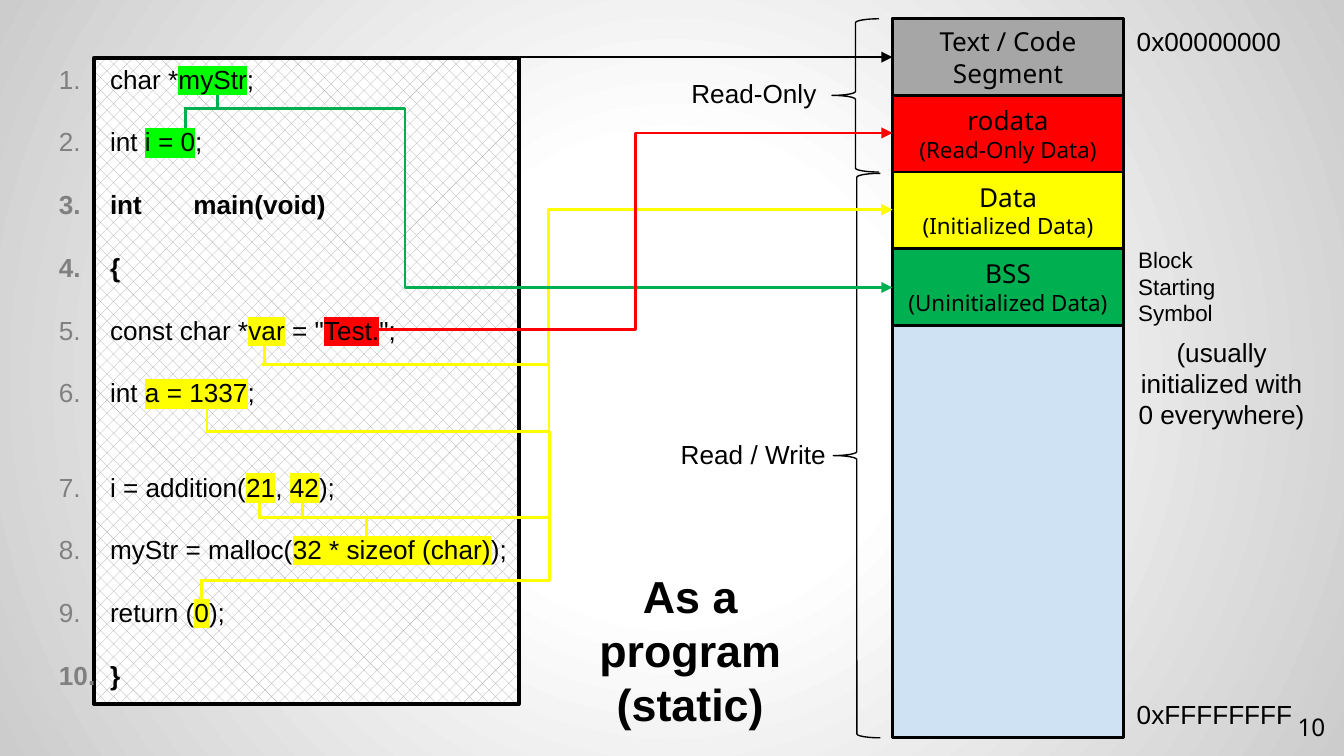
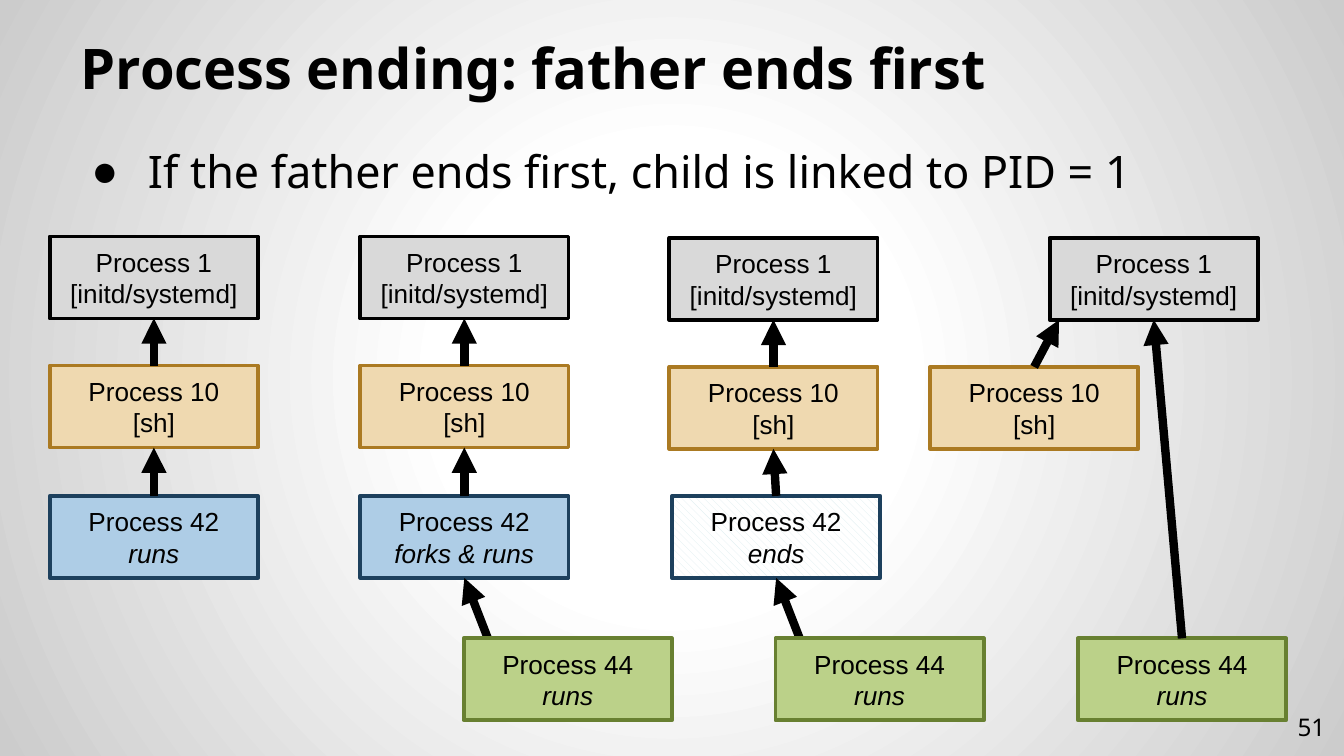
from lxml.etree import SubElement
from pptx import Presentation
from pptx.dml.color import RGBColor
from pptx.enum.dml import MSO_PATTERN
from pptx.enum.shapes import MSO_CONNECTOR, MSO_SHAPE
from pptx.enum.text import MSO_ANCHOR, MSO_AUTO_SIZE, PP_ALIGN
from pptx.oxml import parse_xml
from pptx.oxml.ns import nsdecls, qn
from pptx.util import Inches, Pt

BLACK = RGBColor(0x00, 0x00, 0x00)
WHITE = RGBColor(0xFF, 0xFF, 0xFF)
EDGE_GRAY = RGBColor(0xCC, 0xCC, 0xCC)
NUMBER_GRAY = RGBColor(0x80, 0x80, 0x80)
GRAY = RGBColor(0xA6, 0xA6, 0xA6)
LIGHT_GRAY = RGBColor(0xD9, 0xD9, 0xD9)
RED = RGBColor(0xFF, 0x00, 0x00)
YELLOW = RGBColor(0xFF, 0xFF, 0x00)
GREEN = RGBColor(0x00, 0xB0, 0x50)
LIME = RGBColor(0x00, 0xFF, 0x00)
PALE_BLUE = RGBColor(0xCF, 0xE2, 0xF3)
BLUE = RGBColor(0xAE, 0xCD, 0xE6)
NAVY = RGBColor(0x1D, 0x40, 0x5D)
HATCH = RGBColor(0xDD, 0xED, 0xF0)
OLIVE = RGBColor(0xBB, 0xD1, 0x89)
DARK_OLIVE = RGBColor(0x68, 0x80, 0x31)
SAND = RGBColor(0xEF, 0xD9, 0xB0)
BROWN = RGBColor(0xAB, 0x7A, 0x22)

SANS = "Arial"
NOTO = "Noto Sans"
LINE_GAP = 16.8
SEGMENT_X, SEGMENT_Y, SEGMENT_W, SEGMENT_H = 6.64, 0.14, 1.72, 0.57
PROCESS_W, PROCESS_H = 1.55, 0.61
ROW_1, ROW_10, ROW_42, ROW_44 = 1.76, 2.72, 3.69, 4.75

PROCESSES = {
    1: ("Process 1\v[initd/systemd]", LIGHT_GRAY, BLACK),
    10: ("Process 10\v[sh]", SAND, BROWN),
    42: ("Process 42", BLUE, NAVY),
    44: ("Process 44", OLIVE, DARK_OLIVE),
}

CODE = [
    [("char *", None), ("myStr", LIME), (";", None)],
    [("int ", None), ("i = 0", LIME), (";", None)],
    [("int\tmain(void)", None)],
    [("{", None)],
    [("const char *", None), ("var", YELLOW), (' = "', None), ("Test.", RED), ('";', None)],
    [("int ", None), ("a = 1337", YELLOW), (";", None)],
    [("i = addition(", None), ("21", YELLOW), (", ", None), ("42", YELLOW), (");", None)],
    [("myStr = malloc(", None), ("32 * sizeof (char)", YELLOW), (");", None)],
    [("return (", None), ("0", YELLOW), (");", None)],
    [("}", None)],
]
BOLD_ROWS = (2, 3, 9)
CALL_ROW = 6


def set_background(master):
    master.background.fill.solid()
    stops = "".join(
        f'<a:gs pos="{pos}"><a:srgbClr val="{color}"/></a:gs>'
        for pos, color in ((0, WHITE), (30000, WHITE), (100000, EDGE_GRAY))
    )
    grad = parse_xml(
        f'<a:gradFill {nsdecls("a")} rotWithShape="1"><a:gsLst>{stops}</a:gsLst>'
        '<a:path path="circle"><a:fillToRect l="50000" t="50000" r="50000" b="50000"/>'
        "</a:path></a:gradFill>"
    )
    bg_pr = master.element.find(".//" + qn("p:bgPr"))
    bg_pr.replace(bg_pr.find(qn("a:solidFill")), grad)


def style_run(r, size, font=SANS, bold=False, italic=False):
    r.font.size = Pt(size)
    r.font.name = font
    r.font.bold = bold
    r.font.italic = italic
    r.font.color.rgb = BLACK


def fill_frame(tf, text, size, font=SANS, align=PP_ALIGN.LEFT, anchor=MSO_ANCHOR.TOP,
               bold=False, inset=None):
    tf.word_wrap = True
    tf.auto_size = MSO_AUTO_SIZE.NONE
    tf.vertical_anchor = anchor
    if inset is not None:
        tf.margin_left = tf.margin_right = tf.margin_top = tf.margin_bottom = Inches(inset)
    tf.text = text
    for p in tf.paragraphs:
        p.alignment = align
        for r in p.runs:
            style_run(r, size, font, bold)


def add_text(s, x, y, w, h, text, size, **options):
    sp = s.shapes.add_textbox(Inches(x), Inches(y), Inches(w), Inches(h))
    fill_frame(sp.text_frame, text, size, **options)
    return sp


def add_page_number(s, number):
    add_text(s, 9.36, 5.19, 0.6, 0.43, number, 13, font=NOTO, align=PP_ALIGN.RIGHT,
             anchor=MSO_ANCHOR.MIDDLE, inset=0.1)


def add_box(s, x, y, w, h, fill, line, width, shape=MSO_SHAPE.RECTANGLE):
    sp = s.shapes.add_shape(shape, Inches(x), Inches(y), Inches(w), Inches(h))
    sp.shadow.inherit = False
    if fill is None:
        sp.fill.background()
    else:
        sp.fill.solid()
        sp.fill.fore_color.rgb = fill
    sp.line.color.rgb = line
    sp.line.width = Pt(width)
    return sp


def set_pattern(sp, pattern, color):
    sp.fill.patterned()
    sp.fill.pattern = pattern
    sp.fill.fore_color.rgb = color
    sp.fill.back_color.rgb = WHITE


def add_line(s, start, end, color, width, arrow=None, bend=None):
    kind = MSO_CONNECTOR.STRAIGHT if bend is None else MSO_CONNECTOR.ELBOW
    c = s.shapes.add_connector(kind, *(Inches(v) for v in (*start, *end)))
    c.line.color.rgb = color
    c.line.width = Pt(width)
    sp_pr = c.element.spPr
    if arrow:
        SubElement(sp_pr.find(qn("a:ln")), qn("a:" + arrow), type="triangle")
    SubElement(sp_pr, qn("a:effectLst"))
    if bend is not None:
        geom = sp_pr.find(qn("a:prstGeom"))
        av = geom.find(qn("a:avLst"))
        if av is None:
            av = SubElement(geom, qn("a:avLst"))
        SubElement(av, qn("a:gd"), name="adj1", fmla=f"val {round(bend * 100000)}")
    return c


def add_bullet(p, left, hanging, color, tag, **attributes):
    p_pr = p._p.get_or_add_pPr()
    p_pr.set("marL", str(Inches(left)))
    p_pr.set("indent", str(-Inches(hanging)))
    SubElement(SubElement(p_pr, qn("a:buClr")), qn("a:srgbClr"), val=str(color))
    SubElement(p_pr, qn("a:" + tag), **attributes)


def highlight(r, color):
    mark = parse_xml(f'<a:highlight {nsdecls("a")}><a:srgbClr val="{color}"/></a:highlight>')
    r.font._element.find(qn("a:solidFill")).addnext(mark)


def add_code(s):
    box = add_box(s, 0.7, 0.43, 3.16, 4.81, WHITE, BLACK, 2)
    set_pattern(box, MSO_PATTERN.PERCENT_30, GRAY)
    tf = add_text(s, 0.34, 0.42, 4.38, 4.81, "", 14).text_frame
    for row, parts in enumerate(CODE):
        p = tf.add_paragraph() if row else tf.paragraphs[0]
        if row:
            p.space_before = Pt(LINE_GAP * (2 if row == CALL_ROW else 1))
        add_bullet(p, 0.38, 0.38, NUMBER_GRAY, "buAutoNum", type="arabicPeriod")
        for text, color in parts:
            r = p.add_run()
            r.text = text
            style_run(r, 14, bold=row in BOLD_ROWS)
            if color is not None:
                highlight(r, color)


def add_memory(s):
    add_box(s, SEGMENT_X, SEGMENT_Y, SEGMENT_W, 5.35, PALE_BLUE, BLACK, 1.5)
    segments = []
    for i, (text, color) in enumerate([
        ("Text / Code Segment", GRAY),
        ("rodata\v(Read-Only Data)", RED),
        ("Data\v(Initialized Data)", YELLOW),
        ("BSS\v(Uninitialized Data)", GREEN),
    ]):
        sp = add_box(s, SEGMENT_X, SEGMENT_Y + i * SEGMENT_H, SEGMENT_W, SEGMENT_H,
                     color, BLACK, 1.5)
        fill_frame(sp.text_frame, text, 14, font=NOTO, align=PP_ALIGN.CENTER,
                   anchor=MSO_ANCHOR.MIDDLE, inset=0.1)
        for r in sp.text_frame.paragraphs[0].runs[1:]:
            r.font.size = Pt(12)
        segments.append(sp)
    add_box(s, SEGMENT_X, SEGMENT_Y, SEGMENT_W, 5.35, None, BLACK, 1.5)
    return segments


def add_links(s, text_segment):
    for start, end, color, bend in [
        ((1.95, 2.71), (SEGMENT_X, 1.56), YELLOW, 0.455),
        ((1.53, 3.21), (SEGMENT_X, 1.56), YELLOW, 0.5),
        ((1.37, 0.81), (SEGMENT_X, 2.14), GREEN, 0.312),
        ((2.82, 2.45), (SEGMENT_X, 0.99), RED, 0.5),
    ]:
        add_line(s, start, end, color, 1.5, "tailEnd", bend)
    for x, top, bottom, color in [
        (1.97, 2.57, 2.71, YELLOW), (1.54, 3.03, 3.21, YELLOW),
        (1.62, 0.71, 0.81, GREEN), (1.38, 0.81, 0.95, GREEN),
        (4.09, 3.21, 4.32, YELLOW), (1.5, 4.32, 4.46, YELLOW),
        (1.93, 3.73, 3.86, YELLOW), (2.25, 3.73, 3.86, YELLOW),
        (2.73, 3.85, 3.99, YELLOW),
    ]:
        add_line(s, (x, top), (x, bottom), color, 1.5)
    for x, y in ((1.49, 4.32), (1.93, 3.85)):
        add_line(s, (4.09, y), (x, y), YELLOW, 1.5)
    middle = SEGMENT_Y + SEGMENT_H / 2
    c = add_line(s, (3.87, middle), (SEGMENT_X, middle), BLACK, 0.75, "tailEnd")
    c.end_connect(text_segment, 1)


def build_memory_slide(prs):
    s = prs.slides.add_slide(prs.slide_layouts[6])
    add_code(s)
    add_page_number(s, "10")
    segments = add_memory(s)
    for x, y, h in ((6.19, 0.14, 1.14), (6.2, 1.29, 4.2)):
        add_box(s, x, y, 0.35, h, None, BLACK, 0.75, MSO_SHAPE.LEFT_BRACE)
    add_text(s, 5.03, 0.53, 1.16, 0.34, "Read-Only", 14, align=PP_ALIGN.CENTER)
    add_text(s, 4.87, 3.21, 1.47, 0.34, "Read / Write", 14, align=PP_ALIGN.CENTER)
    add_links(s, segments[0])
    add_text(s, 3.98, 4.18, 2.31, 1.31, "As a\vprogram\n(static)", 24, bold=True,
             align=PP_ALIGN.CENTER, anchor=MSO_ANCHOR.MIDDLE)
    add_text(s, 8.37, 1.78, 1.19, 0.71, "Block Starting Symbol", 12)
    add_text(s, 8.37, 2.45, 1.44, 0.81, "(usually initialized with 0 everywhere)", 14,
             align=PP_ALIGN.CENTER)
    add_text(s, 8.36, 0.14, 1.34, 0.34, "0x00000000", 14)
    add_text(s, 8.36, 5.15, 1.43, 0.34, "0xFFFFFFFF", 14)


def place(sp, x, y, w, h):
    sp.left, sp.top, sp.width, sp.height = (Inches(v) for v in (x, y, w, h))


def add_process(s, pid, x, y, state=None):
    label, fill, line = PROCESSES[pid]
    sp = add_box(s, x, y, PROCESS_W, PROCESS_H, fill, line, 2)
    text = f"{label}\v{state}" if state else label
    fill_frame(sp.text_frame, text, 14, align=PP_ALIGN.CENTER, anchor=MSO_ANCHOR.MIDDLE)
    if state:
        sp.text_frame.paragraphs[0].runs[1].font.italic = True
    if state == "ends":
        set_pattern(sp, MSO_PATTERN.WIDE_DOWNWARD_DIAGONAL, HATCH)
    return sp


def link(s, parent=None, child=None, start=(0, 0), end=(0, 0)):
    c = add_line(s, start, end, BLACK, 4.5, "headEnd")
    if parent is not None:
        c.begin_connect(parent, 2)
    if child is not None:
        c.end_connect(child, 0)


def build_process_slide(prs):
    s = prs.slides.add_slide(prs.slide_layouts[1])
    title, body = s.shapes.title, s.placeholders[1]
    place(title, 0.5, 0.23, 9, 0.62)
    fill_frame(title.text_frame, "Process ending: father ends first", 30, font=NOTO,
               bold=True, anchor=MSO_ANCHOR.BOTTOM, inset=0.1)
    place(body, 0.5, 0.97, 9, 4.41)
    fill_frame(body.text_frame, "If the father ends first, child is linked to PID = 1", 24,
               font=NOTO, inset=0.1)
    p = body.text_frame.paragraphs[0]
    p.space_before = Pt(0)
    add_bullet(p, 0.5, 0.42, BLACK, "buChar", char="●")
    add_page_number(s, "51")

    for x, x42, drop, state, forked in [
        (0.37, 0.37, 0, "runs", False),
        (2.68, 2.68, 0, "forks & runs", True),
        (4.98, 5, 0.01, "ends", True),
    ]:
        init = add_process(s, 1, x, ROW_1 + drop)
        shell = add_process(s, 10, x, ROW_10 + drop)
        father = add_process(s, 42, x42, ROW_42, state)
        link(s, init, shell)
        link(s, shell, father)
        if forked:
            link(s, father, end=(x42 + 0.95, ROW_44))
            add_process(s, 44, x42 + 0.77, ROW_44, "runs")

    init = add_process(s, 1, 7.81, ROW_1 + 0.01)
    shell = add_process(s, 10, 6.92, ROW_10 + 0.01)
    child = add_process(s, 44, 8.02, ROW_44, "runs")
    link(s, child=shell, start=(7.88, 2.38))
    link(s, init, child)


def main():
    prs = Presentation()
    prs.slide_width = Inches(10)
    prs.slide_height = Inches(10) * 9 // 16
    set_background(prs.slide_master)
    build_memory_slide(prs)
    build_process_slide(prs)
    prs.save("out.pptx")


if __name__ == "__main__":
    main()
